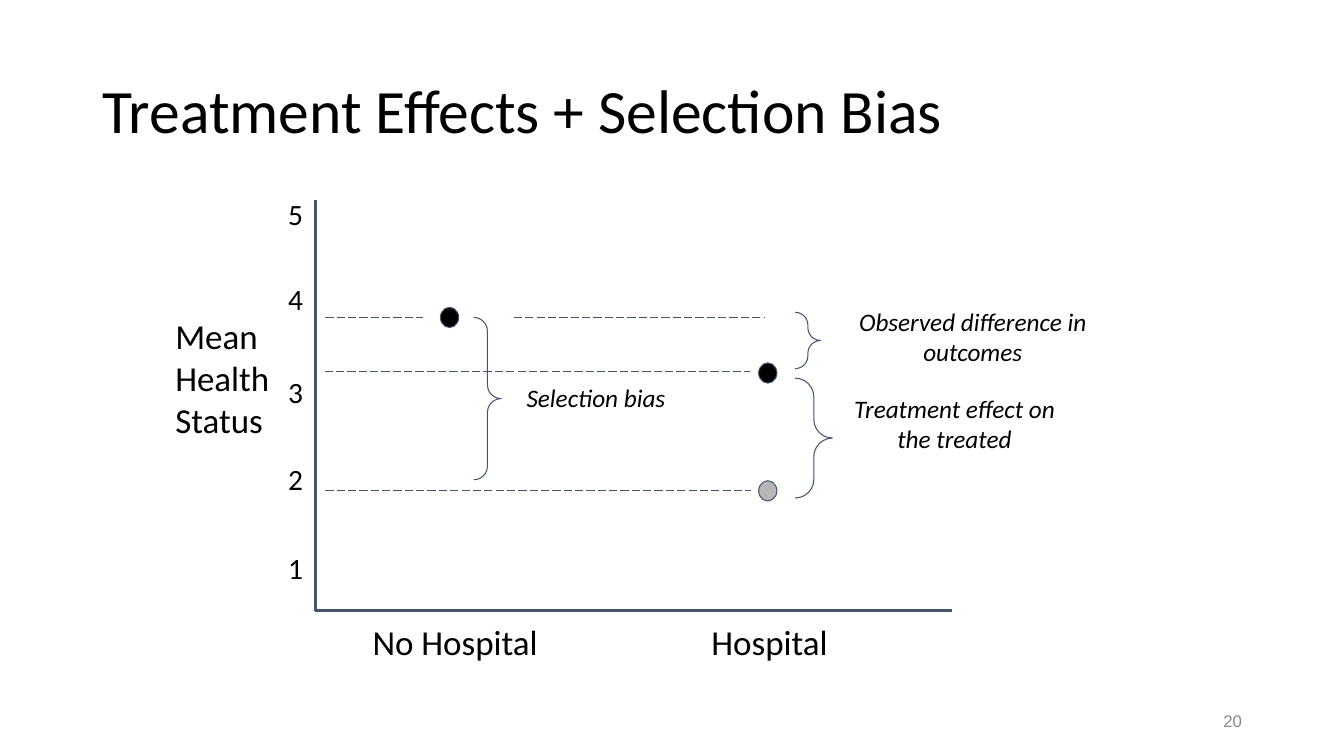
from lxml import etree
from pptx import Presentation
from pptx.dml.color import RGBColor
from pptx.enum.dml import MSO_LINE
from pptx.enum.shapes import MSO_CONNECTOR, MSO_SHAPE
from pptx.enum.text import MSO_ANCHOR, MSO_AUTO_SIZE, PP_ALIGN
from pptx.oxml.ns import qn
from pptx.util import Cm, Pt

STRAIGHT = MSO_CONNECTOR.STRAIGHT
OVAL, BRACE = MSO_SHAPE.OVAL, MSO_SHAPE.RIGHT_BRACE
DASH = MSO_LINE.LONG_DASH
LEFT, CENTER, RIGHT = PP_ALIGN.LEFT, PP_ALIGN.CENTER, PP_ALIGN.RIGHT
TOP, MIDDLE = MSO_ANCHOR.TOP, MSO_ANCHOR.MIDDLE

BLACK = RGBColor(0x00, 0x00, 0x00)
SLATE = RGBColor(0x44, 0x54, 0x6A)
GRAY = RGBColor(0xB7, 0xB7, 0xB7)
NUMBER_GRAY = RGBColor(0x88, 0x88, 0x88)

TITLE = "Treatment Effects + Selection Bias"
TITLE_BOX = (2.34, 1.02, 29.21, 3.68)
SLIDE_NUMBER = ("20", (23.93, 17.65, 7.62, 1.02))

AXIS_X, AXIS_Y = 7.95, 15.39
AXIS_TOP, AXIS_RIGHT = 5.05, 23.98
NO_HOSPITAL_X, HOSPITAL_X = 11.33, 19.35
UNTREATED_Y, TREATED_Y, COUNTERFACTUAL_Y = 8.0, 9.4, 12.37
DOT_W, DOT_H = 0.46, 0.51

TICKS = [("1", 13.61), ("2", 11.38), ("3", 9.17), ("4", 6.83), ("5", 4.7)]
TICK_LEFT, TICK_W, TICK_H = 7.01, 0.94, 1.42
AXIS_LABELS = [
    ("Mean Health Status", (4.17, 7.67, 3.15, 3.71)),
    ("No Hospital", (9.14, AXIS_Y, 6.25, 1.57)),
    ("Hospital", (17.68, AXIS_Y, 4.01, 1.57)),
]
NOTES = [
    ("Treatment effect on the treated", (20.93, 9.78, 6.25, 2.29)),
    ("Selection bias", (12.62, 9.5, 4.8, 1.12)),
    ("Observed difference in outcomes", (21.39, 7.59, 6.25, 2.29)),
]
DOTS = [
    (NO_HOSPITAL_X, UNTREATED_Y, BLACK),
    (HOSPITAL_X, TREATED_Y, BLACK),
    (HOSPITAL_X, COUNTERFACTUAL_Y, GRAY),
]
GUIDES = [
    (8.2, 18.92, COUNTERFACTUAL_Y),
    (8.18, 18.9, 9.35),
    (8.2, 10.67, UNTREATED_Y),
    (12.95, 19.25, UNTREATED_Y),
]
BRACES = [
    (20.04, 9.53, 0.94, 3.02),
    (11.94, UNTREATED_Y, 0.69, 4.09),
    (20.04, 7.87, 0.64, 1.42),
]


def cm(values):
    return [Cm(v) for v in values]


def write(tf, text, size, align=LEFT, anchor=TOP, pad=0.13,
          font="Calibri", color=BLACK, italic=False):
    tf.word_wrap = True
    tf.auto_size = MSO_AUTO_SIZE.NONE
    tf.vertical_anchor = anchor
    tf.margin_left = tf.margin_right = Cm(0.25)
    tf.margin_top = tf.margin_bottom = Cm(pad)
    p = tf.paragraphs[0]
    p.text = text
    p.alignment = align
    p.font.name = font
    p.font.size = Pt(size)
    p.font.color.rgb = color
    p.font.italic = italic
    return p


def add_text(slide, box, text, size, **style):
    write(slide.shapes.add_textbox(*cm(box)).text_frame, text, size, **style)


def add_line(slide, x1, y1, x2, y2, width, dash=None):
    line = slide.shapes.add_connector(STRAIGHT, *cm((x1, y1, x2, y2)))
    line.line.color.rgb = SLATE
    line.line.width = Pt(width)
    if dash:
        line.line.dash_style = dash
    etree.SubElement(line._element.spPr, qn("a:effectLst"))


def add_outlined(slide, kind, box, fill=None):
    sp = slide.shapes.add_shape(kind, *cm(box))
    sp.shadow.inherit = False
    sp.line.color.rgb = SLATE
    sp.line.width = Pt(0.75)
    if fill is None:
        sp.fill.background()
    else:
        sp.fill.solid()
        sp.fill.fore_color.rgb = fill
    return sp


def main():
    prs = Presentation()
    prs.slide_width, prs.slide_height = Cm(33.87), Cm(19.05)
    slide = prs.slides.add_slide(prs.slide_layouts[5])

    title = slide.shapes.title
    title.left, title.top, title.width, title.height = cm(TITLE_BOX)
    p = write(title.text_frame, TITLE, 44, anchor=MIDDLE)
    p.line_spacing = 0.9

    number, box = SLIDE_NUMBER
    add_text(slide, box, number, 12, align=RIGHT, anchor=MIDDLE,
             font="Arial", color=NUMBER_GRAY)

    add_line(slide, AXIS_X, AXIS_TOP, AXIS_X, AXIS_Y, 2.25)
    add_line(slide, AXIS_RIGHT, AXIS_Y, AXIS_X, AXIS_Y, 2.25)
    for text, box in AXIS_LABELS:
        add_text(slide, box, text, 25, pad=0.25)
    for text, top in TICKS:
        add_text(slide, (TICK_LEFT, top, TICK_W, TICK_H), text, 21, pad=0.25)

    for x, y, fill in DOTS:
        box = (x - DOT_W / 2, y - DOT_H / 2, DOT_W, DOT_H)
        add_outlined(slide, OVAL, box, fill)
    for text, box in NOTES:
        add_text(slide, box, text, 18, align=CENTER, italic=True)
    for x1, x2, y in GUIDES:
        add_line(slide, x1, y, x2, y, 0.75, DASH)
    for box in BRACES:
        brace = add_outlined(slide, BRACE, box)
        brace.adjustments[0] = brace.adjustments[1] = 0.5

    prs.save("out.pptx")


if __name__ == "__main__":
    main()
